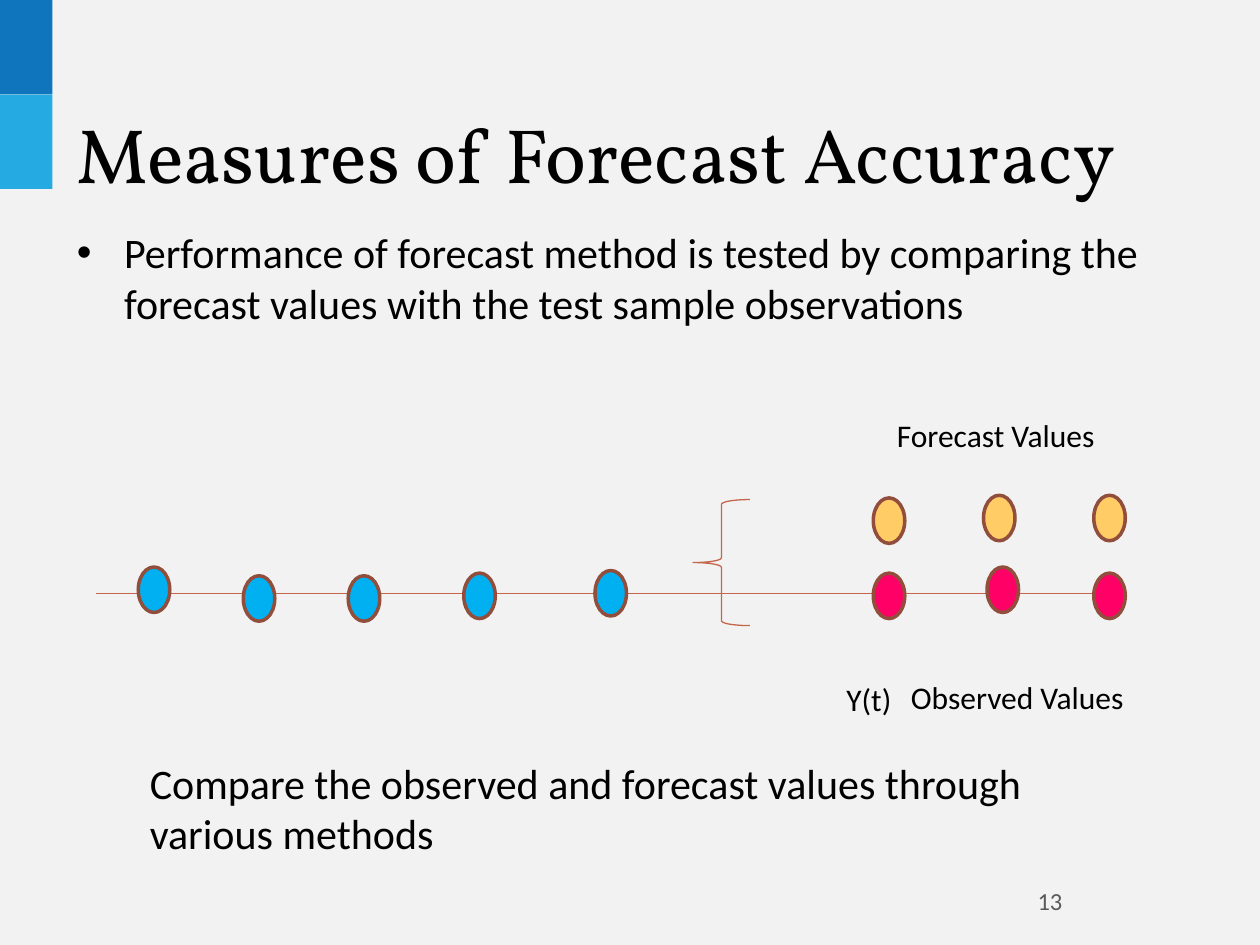
from pptx import Presentation
from pptx import util as u
from pptx.dml.color import RGBColor
from pptx.enum import shapes, text
from pptx.oxml.ns import qn
from lxml import etree


def rgb(value):
    return RGBColor.from_string(value)


class ForecastSlide:
    """Holds the style and the current slide, and draws each kind of element."""

    font = "Calibri"
    heading_font = "Vollkorn"
    ink = "000000"
    outline = "924E3C"
    accent = "C4654C"
    dot_size = (18, 26)

    def __init__(self, deck):
        self.slide = deck.slides.add_slide(deck.slide_layouts[1])
        self.slide.background.fill.solid()
        self.slide.background.fill.fore_color.rgb = rgb("F2F2F2")

    def format_runs(self, frame, size, color=None, font=None):
        for paragraph in frame.paragraphs:
            for run in paragraph.runs:
                run.font.size = u.Pt(size)
                run.font.name = font or self.font
                run.font.color.rgb = rgb(color or self.ink)

    def placeholder(self, index, words, box, size, font=None):
        holder = self.slide.placeholders[index]
        holder.left, holder.top, holder.width, holder.height = map(u.Pt, box)
        frame = holder.text_frame
        frame.text = words
        frame.auto_size = text.MSO_AUTO_SIZE.NONE
        frame.paragraphs[0].alignment = text.PP_ALIGN.LEFT
        frame.paragraphs[0].space_before = u.Pt(0)
        self.format_runs(frame, size, font=font)

    def label(self, words, box, size=18):
        frame = self.slide.shapes.add_textbox(*map(u.Pt, box)).text_frame
        frame.text = words
        frame.word_wrap = False
        frame.auto_size = text.MSO_AUTO_SIZE.SHAPE_TO_FIT_TEXT
        self.format_runs(frame, size)

    def page_number(self, words, box):
        frame = self.slide.shapes.add_textbox(*map(u.Pt, box)).text_frame
        frame.text = words
        frame.word_wrap = True
        frame.vertical_anchor = text.MSO_ANCHOR.MIDDLE
        frame.paragraphs[0].alignment = text.PP_ALIGN.CENTER
        self.format_runs(frame, 14, "595959")

    def shape(self, kind, box, fill=None, line=None, weight=0.75, parent=None):
        item = (parent or self.slide).shapes.add_shape(kind, *map(u.Pt, box))
        item.shadow.inherit = False
        if fill:
            item.fill.solid()
            item.fill.fore_color.rgb = rgb(fill)
        else:
            item.fill.background()
        if line:
            item.line.color.rgb = rgb(line)
            item.line.width = u.Pt(weight)
        else:
            item.line.fill.background()

    def dots(self, positions, fill, parent=None):
        for left, top in positions:
            self.shape(shapes.MSO_SHAPE.FLOWCHART_CONNECTOR, (left, top, *self.dot_size),
                       fill, self.outline, 2, parent)

    def axis(self, start, end, y, parent):
        axis = parent.shapes.add_connector(
            shapes.MSO_CONNECTOR.STRAIGHT, *map(u.Pt, (start, y, end, y)))
        axis.line.color.rgb = rgb(self.accent)
        axis.line.width = u.Pt(0.75)
        etree.SubElement(axis._element.spPr, qn("a:effectLst"))


def main():
    deck = Presentation()
    deck.slide_width, deck.slide_height = u.Pt(720), u.Pt(540)
    page = ForecastSlide(deck)

    for row, band in enumerate(("0F75BD", "25AAE2")):
        page.shape(shapes.MSO_SHAPE.RECTANGLE, (0, 54 * row, 30, 54), band)
    page.placeholder(0, "Measures of Forecast Accuracy", (36.7, 42, 648, 90), 44,
                     page.heading_font)
    page.page_number("13", (516, 500.4, 168, 28.8))
    page.placeholder(1, "Performance of forecast method is tested by comparing the "
                     "forecast values with the test sample observations",
                     (36.7, 126, 652, 365), 24)

    timeline = page.slide.shapes.add_group_shape()
    page.axis(55, 643, 339, timeline)
    history = [(79, 324), (139, 329), (199, 329), (265, 327.5), (340, 326)]
    observed = [(499, 327.5), (564, 324), (625, 327.5)]
    forecast = [(499, 284.5), (562, 283), (625, 283)]
    page.dots(history, "00B0F0", timeline)
    page.dots(observed, "FF0066", timeline)
    page.dots(forecast, "FFCC66")

    page.label("Observed Values", (513.4, 383.8, 137.5, 29))
    page.label("Forecast Values", (505.4, 234, 129, 29))
    page.shape(shapes.MSO_SHAPE.LEFT_BRACE, (396, 285.5, 32.5, 72), line=page.accent)
    page.label("Y(t)", (476.6, 385.2, 40.3, 29))
    page.label("Compare the observed and forecast values through\nvarious methods",
               (78.5, 429.1, 533.5, 65.5), 24)

    deck.save("out.pptx")


if __name__ == "__main__":
    main()
